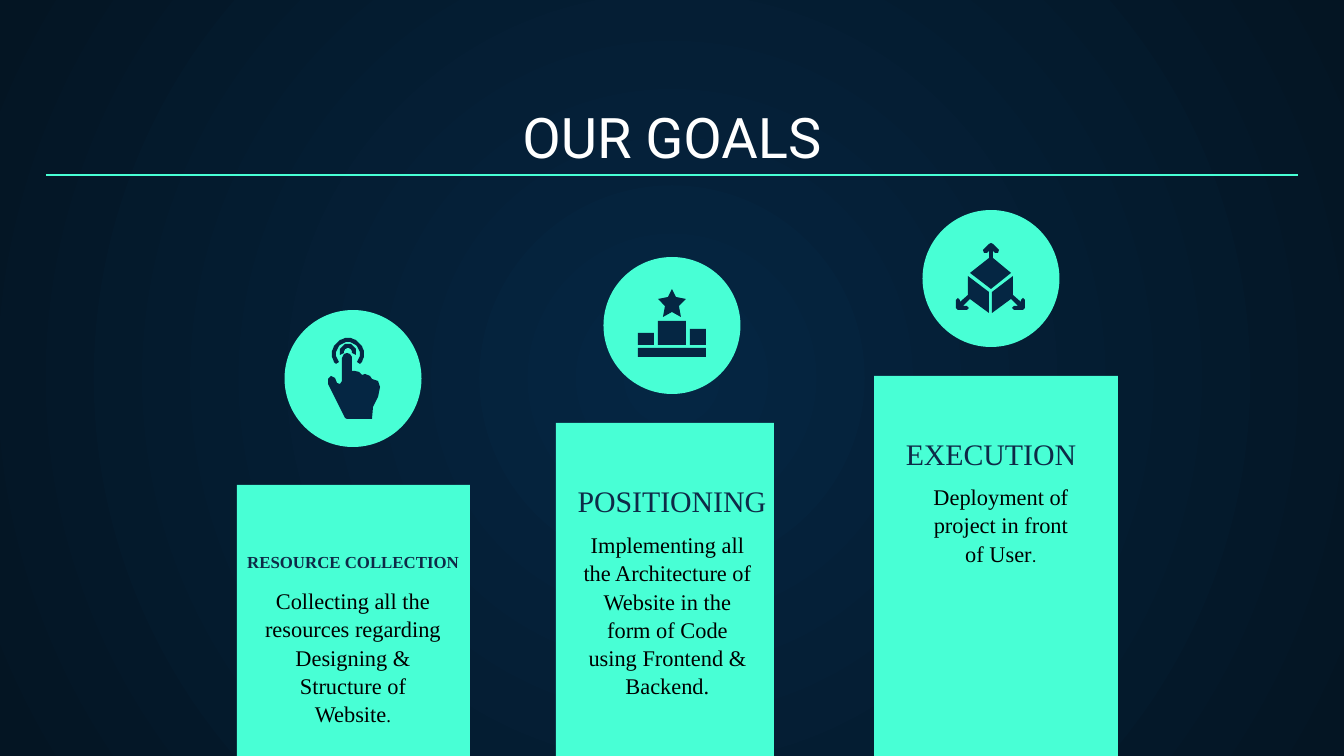
from math import cos, radians, sin

from lxml.etree import SubElement
from pptx import Presentation
from pptx.dml.color import RGBColor
from pptx.enum.shapes import MSO_CONNECTOR, MSO_SHAPE
from pptx.enum.text import MSO_ANCHOR, MSO_AUTO_SIZE, PP_ALIGN
from pptx.oxml.ns import qn
from pptx.util import Pt

PX = 914400 / 134.4
W, H = 1344, 756
COLORS = {"mint": "48FFD5", "navy": "052643", "edge": "041523",
          "heading": "0E2A47", "white": "FFFFFF", "black": "000000"}
SERIF, SANS = "Times New Roman", "Roboto"

# Content: runs are (text, size, font, color, bold)
TITLE = [("OUR GOALS", 30, SANS, "white", False)]
GOALS = [
    {"bar": (237, 485, 233), "circle_top": 310, "body": (250, 573, 206, 74),
     "heading": [("RESOURCE COLLECTION", 9, SERIF, "heading", True)],
     "text": [("Collecting all the resources regarding Designing & Structure of Website",
               12, SERIF, "black", False), (".", 10, SERIF, "black", False)]},
    {"bar": (556, 423, 218), "circle_top": 257, "body": (569, 517, 197, 159),
     "heading": [("POSITIONING", 16, SERIF, "heading", False)],
     "text": [("Implementing all the Architecture of Website in the form of Code "
               "using Frontend & Backend.", 12, SERIF, "black", False)]},
    {"bar": (874, 376, 244), "circle_top": 210, "body": (910, 469, 182, 176),
     "heading": [("EXECUTION", 16, SERIF, "heading", False)],
     "text": [("Deployment of project in front of User", 12, SERIF, "black", False),
              (".", 10, SANS, "black", False)]},
]
FIRST_CENTER, PITCH, CIRCLE = 353, 319, 137
HEADING_W, HEADING_H, HEADING_DROP = 305, 28, 247

# Icon outlines
HAND = [(347, 353), (344, 354), (342, 358), (342, 381), (340, 384), (337, 383),
        (335, 378), (331, 376), (328, 379), (328, 384), (345, 418), (347, 419),
        (372, 419), (373, 407), (378, 397), (380, 387), (378, 381), (372, 379),
        (370, 376), (365, 374), (362, 375), (359, 372), (355, 371), (352, 371),
        (352, 357), (350, 354)]
STAR = [(672, 289), (676, 297), (686, 299), (679, 306), (681, 317), (672, 312),
        (663, 317), (665, 306), (658, 299), (668, 297)]
PODIUM = [(638, 333, 16, 12), (658, 321, 28, 24), (690, 329, 16, 16), (638, 348, 68, 9)]
CUBE_TOP = [(991, 243), (989, 244), (983, 250), (984, 253), (987, 253), (989, 251),
            (989, 258), (970, 273), (991, 289), (1011, 273), (993, 258), (993, 251),
            (995, 253), (998, 253), (999, 250), (993, 244)]
CUBE_RIGHT = [(1013, 276), (992, 292), (992, 313), (1011, 299), (1018, 306), (1014, 306),
              (1012, 308), (1014, 310), (1023, 310), (1025, 308), (1025, 300), (1023, 298),
              (1021, 300), (1021, 302), (1013, 295)]
CUBE_LEFT = [(1981 - x, y) for x, y in CUBE_RIGHT]


def arc_band(cx, cy, outer, inner, start, end):
    angles = [radians(a) for a in range(start, end + 1, 10)]
    return ([(cx + outer * cos(a), cy + outer * sin(a)) for a in angles]
            + [(cx + inner * cos(a), cy + inner * sin(a)) for a in reversed(angles)])


RINGS = [arc_band(348, 354, 16, 12, 140, 400), arc_band(348, 352, 8, 4, 160, 380)]


def px(*values):
    return [round(v * PX) for v in values]


def rgb(name):
    return RGBColor.from_string(COLORS[name])


def paint(sp, color):
    sp.shadow.inherit = False
    sp.fill.solid()
    sp.fill.fore_color.rgb = rgb(color)
    sp.line.fill.background()


def add_block(kind, box, color):
    paint(s.shapes.add_shape(kind, *px(*box)), color)


def add_outline(points):
    builder = s.shapes.build_freeform(*points[0], scale=PX)
    builder.add_line_segments(points[1:], close=True)
    paint(builder.convert_to_shape(), "navy")


def set_text(sp, runs, anchor, spacing=1.0):
    tf = sp.text_frame
    tf.word_wrap, tf.auto_size, tf.vertical_anchor = True, MSO_AUTO_SIZE.NONE, anchor
    inset = px(13)[0]
    tf.margin_left = tf.margin_right = tf.margin_top = tf.margin_bottom = inset
    p = tf.paragraphs[0]
    p.alignment, p.line_spacing = PP_ALIGN.CENTER, spacing
    for text, size, font, color, bold in runs:
        r = p.add_run()
        r.text = text
        r.font.size, r.font.name, r.font.bold = Pt(size), font, bold
        r.font.color.rgb = rgb(color)


prs = Presentation()
prs.slide_width, prs.slide_height = px(W, H)
s = prs.slides.add_slide(prs.slide_layouts[5])

# Background: radial gradient
fill = s.background.fill
fill.gradient()
for stop, color in zip(fill.gradient_stops, ("navy", "edge")):
    stop.color.rgb = rgb(color)
grad = s.background._cSld.find(".//" + qn("a:gradFill"))
grad.remove(grad.find(qn("a:lin")))
radial = SubElement(grad, qn("a:path"), path="circle")
SubElement(radial, qn("a:fillToRect"), l="50000", t="50000", r="50000", b="50000")

# Title and rule
title = s.shapes.title
title.left, title.top, title.width, title.height = px(46, 94, 1252, 89)
set_text(title, TITLE, MSO_ANCHOR.BOTTOM)
rule = s.shapes.add_connector(MSO_CONNECTOR.STRAIGHT, *px(46, 175, 1298, 175))
rule.line.color.rgb = rgb("mint")
rule.line.width = Pt(0.75)
SubElement(rule._element.spPr, qn("a:effectLst"))

# Goal columns
for i, goal in enumerate(GOALS):
    center = FIRST_CENTER + i * PITCH
    left, top, width = goal["bar"]
    add_block(MSO_SHAPE.RECTANGLE, (left, top, width, H - top), "mint")
    add_block(MSO_SHAPE.OVAL, (center - CIRCLE / 2, goal["circle_top"], CIRCLE, CIRCLE), "mint")
    heading = s.shapes.add_textbox(*px(center - HEADING_W / 2, goal["circle_top"] + HEADING_DROP,
                                       HEADING_W, HEADING_H))
    set_text(heading, goal["heading"], MSO_ANCHOR.BOTTOM)
    set_text(s.shapes.add_textbox(*px(*goal["body"])), goal["text"], MSO_ANCHOR.TOP, 1.05)

# Icons
for outline in [HAND, *RINGS, STAR, CUBE_TOP, CUBE_RIGHT, CUBE_LEFT]:
    add_outline(outline)
for step in PODIUM:
    add_block(MSO_SHAPE.RECTANGLE, step, "navy")

prs.save("out.pptx")
